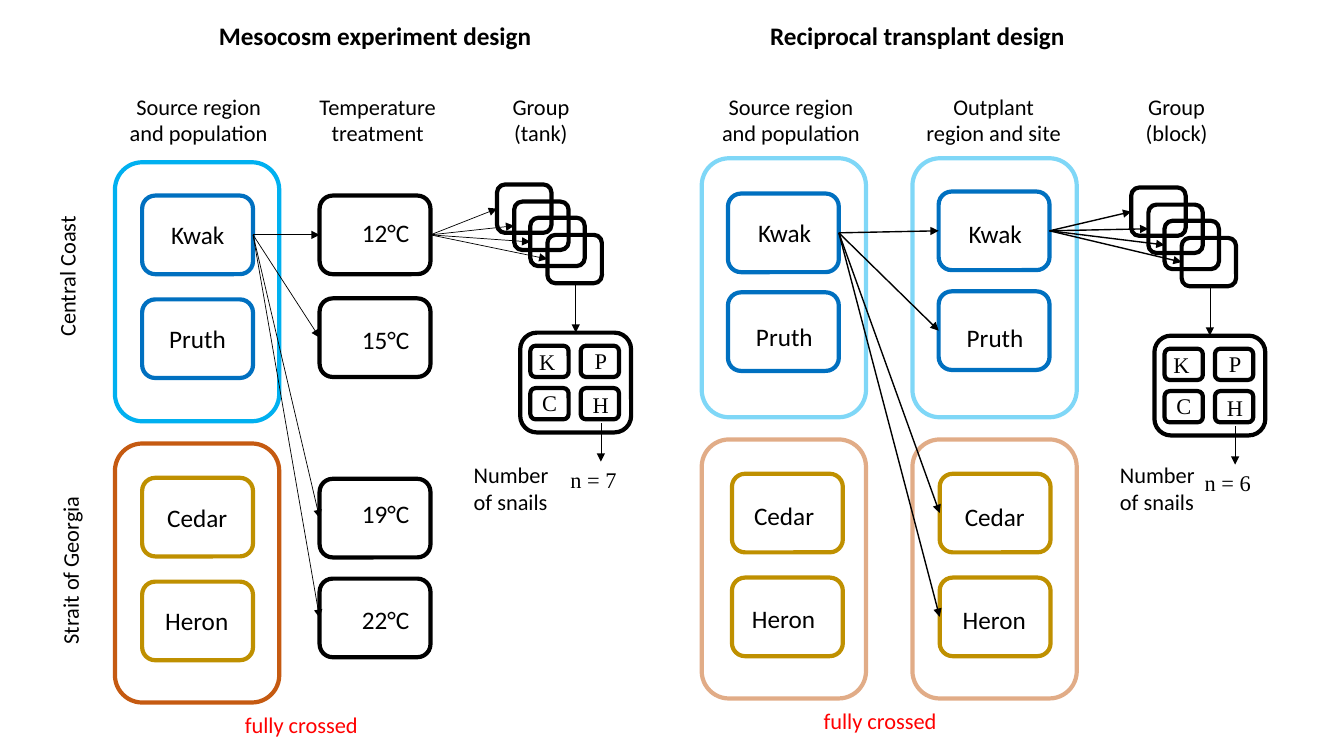
from dataclasses import dataclass

from lxml.etree import SubElement
from pptx import Presentation
from pptx.dml.color import RGBColor
from pptx.enum.shapes import MSO_CONNECTOR, MSO_SHAPE
from pptx.enum.text import MSO_ANCHOR, MSO_AUTO_SIZE, PP_ALIGN
from pptx.oxml.ns import qn
from pptx.util import Pt

PX = 9144
SITE_SIZE = (110, 78)
REGION_SIZE = (163, 257)
TANK_SIZE = (54, 48)


@dataclass(frozen=True)
class Theme:
    """Colours, fonts, type sizes and line weights of the slide."""
    ink: str = "000000"
    note: str = "FF0000"
    coast: str = "00B0F0"
    coast_site: str = "0070C0"
    strait: str = "C55A11"
    strait_site: str = "BF9000"
    sans: str = "Calibri"
    serif: str = "Times New Roman"
    large: int = 18
    small: int = 16
    outline: float = 3
    thin: float = 0.5
    medium: float = 1


THEME = Theme()


def place(origin, left, top, size):
    """Return a box of the given size, offset from an origin."""
    return (origin[0] + left, origin[1] + top, *size)


def write(slide, text, box, size=THEME.small, font=THEME.sans, color=THEME.ink,
          bold=False, align=PP_ALIGN.LEFT, wrap=False, rotation=0, holder=None):
    """Write text, one paragraph a line, in a text box or a given placeholder."""
    lengths = [length * PX for length in box]
    label = holder or slide.shapes.add_textbox(*lengths)
    label.left, label.top, label.width, label.height = lengths
    label.rotation = rotation
    frame = label.text_frame
    frame.text = text
    frame.word_wrap = wrap
    frame.auto_size = MSO_AUTO_SIZE.SHAPE_TO_FIT_TEXT
    frame.vertical_anchor = MSO_ANCHOR.TOP
    for paragraph in frame.paragraphs:
        paragraph.alignment = align
        for run in paragraph.runs:
            run.font.size = Pt(size)
            run.font.name = font
            run.font.bold = bold
            run.font.color.rgb = RGBColor.from_string(color)


def outline(slide, box, color=THEME.ink, opacity=100):
    """Draw an unfilled rounded rectangle."""
    frame = slide.shapes.add_shape(MSO_SHAPE.ROUNDED_RECTANGLE,
                                   *(length * PX for length in box))
    frame.shadow.inherit = False
    frame.fill.background()
    frame.line.width = Pt(THEME.outline)
    frame.line.color.rgb = RGBColor.from_string(color)
    if opacity < 100:
        tint = frame.line._ln.find(".//" + qn("a:srgbClr"))
        SubElement(tint, qn("a:alpha"), val=str(opacity * 1000))


def fan(slide, start, ends, weight=THEME.thin):
    """Draw arrows from one point to each of several ends."""
    for end in ends:
        arrow = slide.shapes.add_connector(
            MSO_CONNECTOR.STRAIGHT, *(length * PX for length in (*start, *end)))
        arrow.line.width = Pt(weight)
        arrow.line.color.rgb = RGBColor.from_string(THEME.ink)
        SubElement(arrow.line._ln, qn("a:tailEnd"), type="triangle")
        SubElement(arrow._element.spPr, qn("a:effectLst"))


def left_port(box):
    """Return the middle of the left edge of a box."""
    return box[0], box[1] + box[3] // 2


def right_port(box):
    """Return the middle of the right edge of a box."""
    return box[0] + box[2], box[1] + box[3] // 2


def population_column(slide, origin, site_offsets, name_top, opacity=100):
    """Draw two regions with their named sites and return the site boxes."""
    for top, color in ((0, THEME.coast), (279, THEME.strait)):
        outline(slide, place(origin, 0, top, REGION_SIZE), color, opacity)
    sites = [place(origin, *offset, SITE_SIZE) for offset in site_offsets]
    colors = [THEME.coast_site] * 2 + [THEME.strait_site] * 2
    names = (("Kwak", 73, 0), ("Pruth", 77, 103), ("Cedar", 81, 280), ("Heron", 84, 383))
    for site, color, (name, width, drop) in zip(sites, colors, names):
        outline(slide, site, color)
        write(slide, name,
              place(origin, 82 - width // 2, name_top + drop, (width, 40)), THEME.large)
    return sites


def treatment_column(slide, origin):
    """Draw the temperature treatments and return their boxes."""
    treatments = (("12°C", 0, 17), ("15°C", 102, 123), ("19°C", 281, 295), ("22°C", 380, 401))
    boxes = []
    for degrees, top, label_top in treatments:
        boxes.append(place(origin, 0, top, SITE_SIZE))
        outline(slide, boxes[-1])
        write(slide, degrees, place(origin, 32, label_top, (69, 40)), THEME.large)
    return boxes


def group_cluster(slide, origin, count):
    """Draw stacked groups with the contents of one, and return the group boxes."""
    groups = [place(origin, round(i * 50 / 3), round(i * 50 / 3), TANK_SIZE)
              for i in range(4)]
    for group in groups:
        outline(slide, group)
    outline(slide, place(origin, 23, 147, (110, 99)))
    letters = (("K", 32, 157, 37), ("P", 87, 156, 33), ("C", 35, 198, 34), ("H", 85, 200, 37))
    for i, (letter, left, top, width) in enumerate(letters):
        outline(slide, place(origin, 33 + i % 2 * 50, 160 + i // 2 * 42, (38, 31)))
        write(slide, letter, place(origin, left, top, (width, 37)), font=THEME.serif)
    for x, top, bottom in ((78, 98, 147), (103, 237, 275)):
        fan(slide, place(origin, x, top, ()), [place(origin, x, bottom, ())])
    write(slide, count, place(origin, 63, 275, (81, 37)), font=THEME.serif, wrap=True)
    return groups


def headings(slide, origin, columns):
    """Write the centred headings above the columns of a design."""
    for text, left, width in columns:
        write(slide, text, place(origin, left, 0, (width, 64)), align=PP_ALIGN.CENTER)


def notes(slide, origin, snails_left, snails_top, crossed_left):
    """Write the snail count label and the crossing note of a design."""
    write(slide, "Number\nof snails", place(origin, snails_left, snails_top, (102, 64)))
    write(slide, "fully crossed", place(origin, crossed_left, 540, (134, 37)),
          color=THEME.note)


def mesocosm_design(slide, origin):
    """Draw the mesocosm experiment, from its first region corner."""
    write(slide, "Mesocosm experiment design", place(origin, 93, -146, (332, 40)),
          THEME.large, bold=True, holder=slide.shapes.title)
    headings(slide, place(origin, 0, -74, ()), (
        ("Source region\nand population", 4, 158),
        ("Temperature\ntreatment", 191, 139),
        ("Group\n(tank)", 384, 77)))
    write(slide, "Central Coast", place(origin, -118, 94, (141, 37)), rotation=270)
    write(slide, "Strait of Georgia", place(origin, -129, 385, (169, 37)), rotation=270)
    sources = population_column(
        slide, origin, [(27, top) for top in (33, 136, 313, 416)], 52)
    treatments = treatment_column(slide, place(origin, 203, 33, ()))
    tanks = group_cluster(slide, place(origin, 379, 22, ()), "n = 7")
    fan(slide, right_port(sources[0]), map(left_port, treatments))
    fan(slide, right_port(treatments[0]), map(left_port, tanks))
    notes(slide, origin, 346, 292, 119)


def transplant_design(slide, origin):
    """Draw the reciprocal transplant, from its first region corner."""
    write(slide, "Reciprocal transplant design", place(origin, 58, -142, (314, 40)),
          THEME.large, bold=True)
    headings(slide, place(origin, 0, -70, ()), (
        ("Source region\nand population", 7, 163),
        ("Outplant\nregion and site", 212, 155),
        ("Group\n(block)", 430, 82)))
    sources = population_column(
        slide, origin, ((26, 35), (26, 133), (30, 313), (30, 416)), 54, 50)
    outplants = population_column(
        slide, place(origin, 209, 0, ()),
        ((26, 33), (26, 132), (27, 313), (27, 416)), 55, 50)
    blocks = group_cluster(slide, place(origin, 426, 29, ()), "n = 6")
    fan(slide, right_port(sources[0]), map(left_port, outplants), THEME.medium)
    fan(slide, right_port(outplants[0]), map(left_port, blocks), THEME.medium)
    notes(slide, origin, 405, 296, 111)


def main():
    """Build the slide with both experiment designs."""
    deck = Presentation()
    deck.slide_width, deck.slide_height = 1333 * PX, 750 * PX
    slide = deck.slides.add_slide(deck.slide_layouts[5])
    mesocosm_design(slide, (114, 161))
    transplant_design(slide, (696, 157))
    deck.save("out.pptx")


if __name__ == "__main__":
    main()
